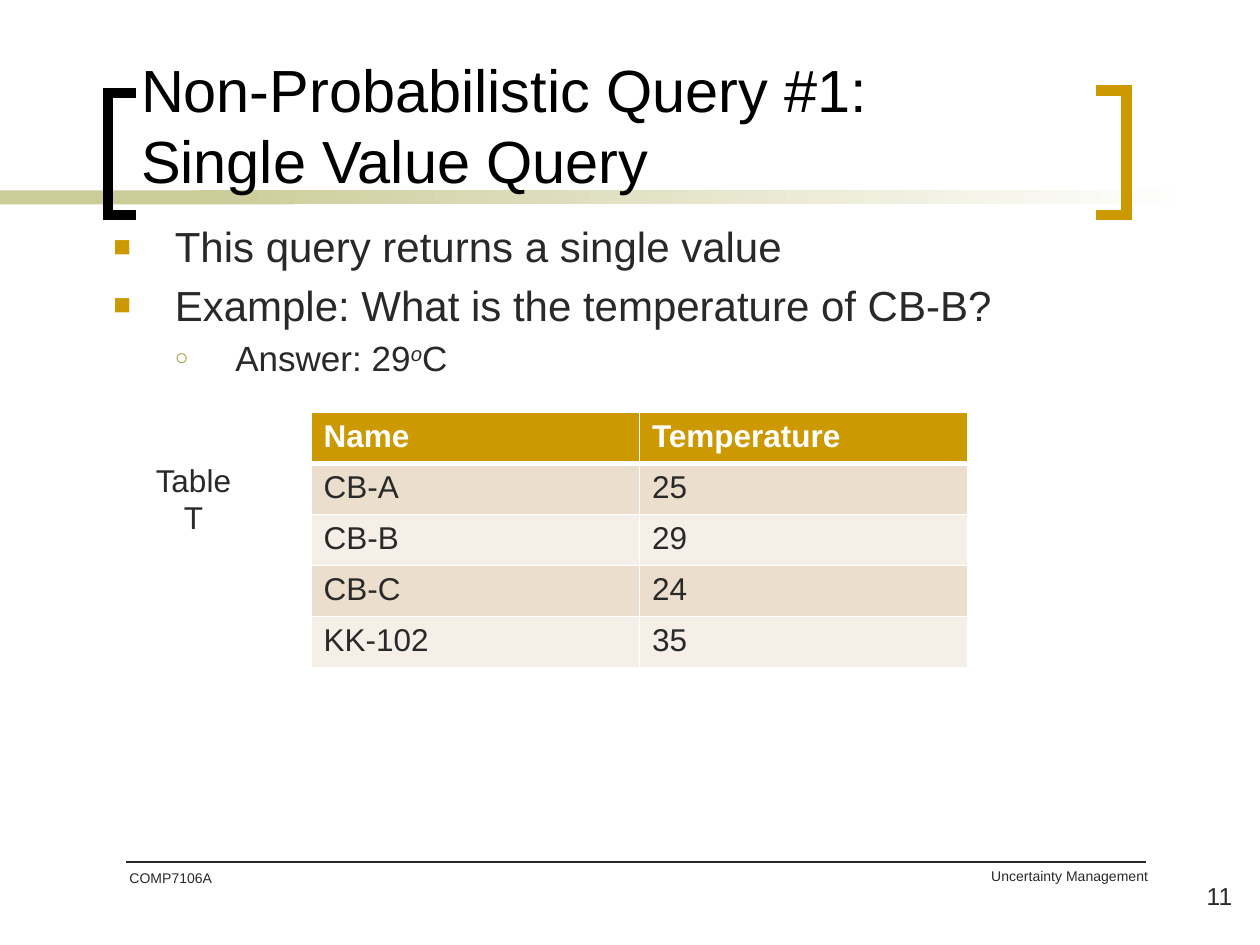
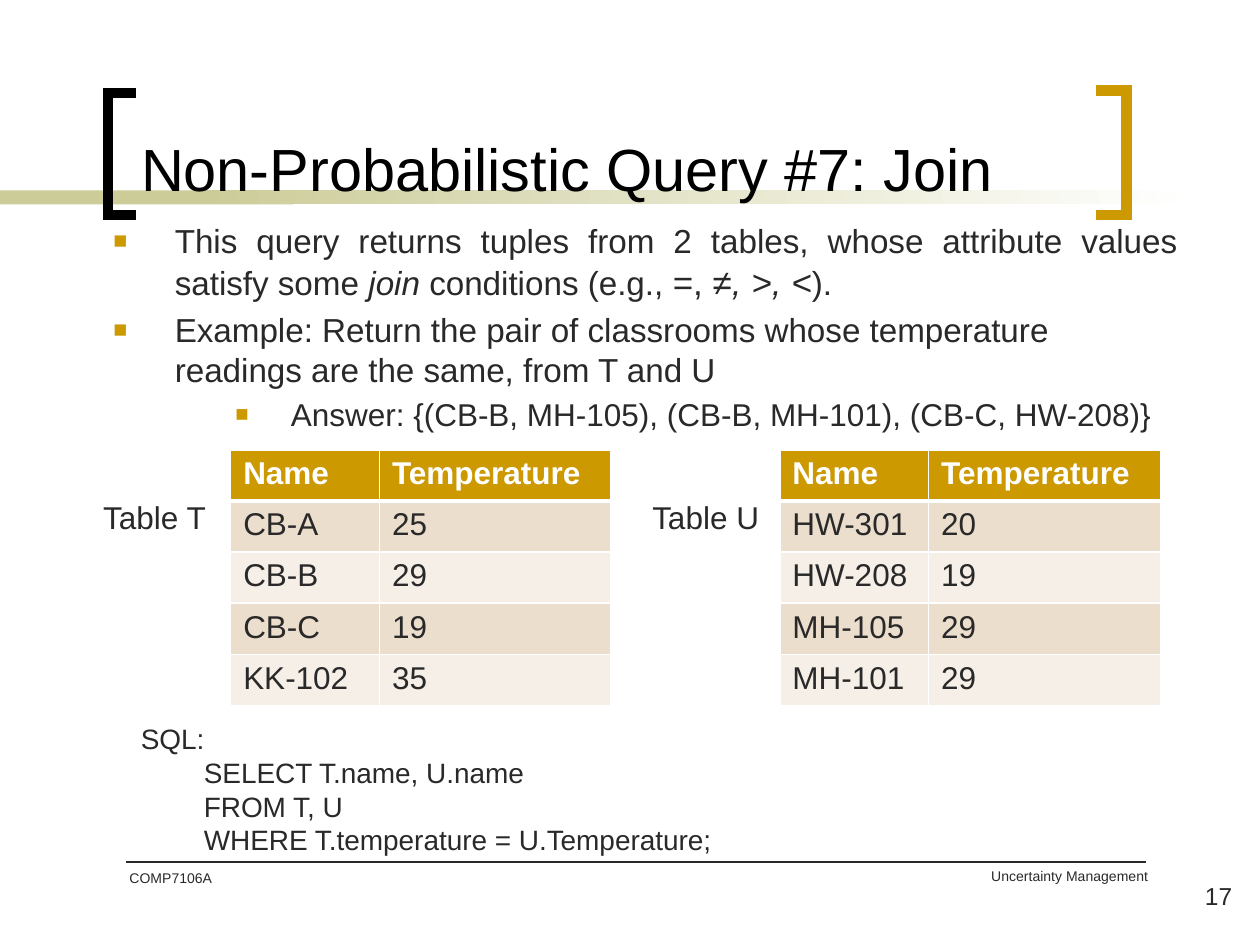
from dataclasses import dataclass

from lxml.etree import SubElement
from pptx import Presentation
from pptx.dml.color import RGBColor
from pptx.enum.shapes import MSO_CONNECTOR as Connector, MSO_SHAPE as Shape
from pptx.enum.text import MSO_ANCHOR as Anchor, MSO_AUTO_SIZE as AutoSize, PP_ALIGN as Align
from pptx.oxml import parse_xml
from pptx.oxml.ns import nsdecls, qn
from pptx.util import Cm, Pt


@dataclass(frozen=True)
class Theme:
    font: str = "Arial"
    ink: str = "292929"
    black: str = "000000"
    white: str = "FFFFFF"
    gold: str = "CC9900"
    olive: str = "999933"
    band: str = "CCCC99"
    row_dark: str = "ECDECC"
    row_light: str = "F6EFE7"
    title_size: int = 34
    table_size: int = 18
    code_size: int = 16
    number_size: int = 14
    footer_size: int = 8


THEME = Theme()


@dataclass(frozen=True)
class Box:
    """A rectangle in centimetres."""
    left: float
    top: float
    width: float
    height: float

    def emu(self):
        return Cm(self.left), Cm(self.top), Cm(self.width), Cm(self.height)


@dataclass(frozen=True)
class Level:
    """Indents in centimetres and an optional bullet."""
    margin: float
    hanging: float = 0
    bullet: str = ""
    color: str = THEME.gold
    percent: int = 70


POINT = Level(1.24, 1.24, "■")
SUBPOINT = Level(2.46, 1.22, "○", THEME.olive, 65)
DEEP_POINT = Level(3.58, 1.12, "■")
CODE = Level(1.27)

FOOTER_RULE_TOP = 17.37
ROW_HEIGHT = 1.03


def rgb(color):
    return RGBColor.from_string(color)


def set_level(paragraph, level):
    properties = paragraph._p.get_or_add_pPr()
    properties.set("marL", str(Cm(level.margin)))
    properties.set("indent", str(-Cm(level.hanging)))
    if level.bullet:
        color = SubElement(properties, qn("a:buClr"))
        SubElement(color, qn("a:srgbClr"), val=level.color)
        SubElement(properties, qn("a:buSzPct"), val=str(level.percent * 1000))
        SubElement(properties, qn("a:buFont"), typeface=THEME.font)
        SubElement(properties, qn("a:buChar"), char=level.bullet)


def add_run(paragraph, text, size, color, bold=False, italic=False, raised=False):
    run = paragraph.add_run()
    run.text = text
    font = run.font
    font.name, font.size, font.bold, font.italic = THEME.font, Pt(size), bold, italic
    font.color.rgb = rgb(color)
    if raised:
        run._r.get_or_add_rPr().set("baseline", "30000")


def write(paragraph, text, size, color=THEME.ink, bold=False, align=Align.LEFT,
          level=None, before=0):
    """Write a string, or a list of strings and (string, run format) pairs."""
    if level:
        set_level(paragraph, level)
    paragraph.alignment = align
    paragraph.space_before = Pt(before)
    for piece in [text] if isinstance(text, str) else text:
        content, changes = (piece, {}) if isinstance(piece, str) else piece
        run_format = {"size": size, "color": color, "bold": bold} | changes
        for index, line in enumerate(content.split("\n")):
            if index:
                paragraph.add_line_break()
            add_run(paragraph, line, **run_format)


def paragraphs_of(frame, count):
    return [frame.paragraphs[0]] + [frame.add_paragraph() for _ in range(count - 1)]


def add_text_box(slide, box, lines, wrap=True, **text_format):
    frame = slide.shapes.add_textbox(*box.emu()).text_frame
    frame.word_wrap = wrap
    for paragraph, line in zip(paragraphs_of(frame, len(lines)), lines):
        write(paragraph, line, **text_format)
    return frame


def add_band(slide, box):
    band = slide.shapes.add_shape(Shape.RECTANGLE, *box.emu())
    band.shadow.inherit = False
    band.line.fill.background()
    return band.fill


def add_bracket(slide, spine, tip, top, bottom, color):
    """Draw a square bracket from its spine to its tips."""
    points = [(tip, bottom), (spine, bottom), (spine, top), (tip, top)]
    start, *rest = [(Cm(x), Cm(y)) for x, y in points]
    builder = slide.shapes.build_freeform(*start)
    builder.add_line_segments(rest, close=False)
    bracket = builder.convert_to_shape()
    bracket.shadow.inherit = False
    bracket.fill.background()
    bracket.line.width = Pt(6)
    bracket.line.color.rgb = rgb(color)
    SubElement(bracket.line._get_or_add_ln(), qn("a:miter"), lim="800000")


def add_title_frame(slide):
    solid = add_band(slide, Box(0, 3.84, 5.92, 0.28))
    solid.solid()
    solid.fore_color.rgb = rgb(THEME.band)
    fading = add_band(slide, Box(4.01, 3.84, 20.12, 0.28))
    fading.gradient()
    fading.gradient_angle = 0
    for stop, color in zip(fading.gradient_stops, (THEME.band, THEME.white)):
        stop.color.rgb = rgb(color)
    add_bracket(slide, 2.18, 2.74, 1.88, 4.34, THEME.black)
    add_bracket(slide, 22.71, 22.1, 1.83, 4.34, THEME.gold)


def add_footer(slide, number):
    rule = slide.shapes.add_connector(Connector.STRAIGHT, Cm(2.54), Cm(FOOTER_RULE_TOP),
                                      Cm(23.11), Cm(FOOTER_RULE_TOP))
    rule.line.width = Pt(1)
    rule.line.color.rgb = rgb(THEME.ink)
    SubElement(rule._element.spPr, qn("a:effectLst"))
    add_text_box(slide, Box(12.88, FOOTER_RULE_TOP, 10.52, 1.27),
                 ["Uncertainty Management"], size=THEME.footer_size, align=Align.RIGHT)
    add_text_box(slide, Box(2.36, 17.4, 2.97, 1.27), ["COMP7106A"], size=THEME.footer_size)
    add_text_box(slide, Box(23.19, 17.63, 1.9, 1.27), [str(number)],
                 size=THEME.number_size, align=Align.RIGHT)


def place_placeholder(slide, placeholder, box, anchor):
    """Move a placeholder to its box, in front of what is drawn so far."""
    slide.shapes._spTree.append(placeholder._element)
    placeholder.left, placeholder.top, placeholder.width, placeholder.height = box.emu()
    frame = placeholder.text_frame
    frame.auto_size = AutoSize.NONE
    frame.word_wrap = True
    frame.vertical_anchor = anchor
    return frame


def add_query_slide(presentation, number, title, title_top, body_box, points):
    slide = presentation.slides.add_slide(presentation.slide_layouts[1])
    body = slide.placeholders[1]
    add_title_frame(slide)
    add_footer(slide, number)
    title_frame = place_placeholder(slide, slide.shapes.title,
                                    Box(2.59, title_top, 19.89, 3.94), Anchor.BOTTOM)
    write(title_frame.paragraphs[0], title, size=THEME.title_size, color=THEME.black)
    body_frame = place_placeholder(slide, body, body_box, Anchor.TOP)
    for index, paragraph in enumerate(paragraphs_of(body_frame, len(points))):
        point = points[index]
        write(paragraph, **point, before=0.2 * point["size"] if index else 0)
    return slide


def set_borders(cell, bottom_width=1, top_width=1):
    widths = {"L": 1, "R": 1, "T": top_width, "B": bottom_width}
    for index, (side, width) in enumerate(widths.items()):
        line = parse_xml(
            f'<a:ln{side} {nsdecls("a")} w="{Pt(width)}"><a:solidFill>'
            f'<a:srgbClr val="{THEME.white}"/></a:solidFill></a:ln{side}>')
        cell._tc.get_or_add_tcPr().insert(index, line)


def add_reading_table(slide, left, top, widths, readings, caption, caption_width, gap,
                      caption_align=Align.LEFT):
    """Add a table of room temperatures with its caption to the left."""
    rows = [("Name", "Temperature"), *readings]
    box = Box(left, top, sum(widths), ROW_HEIGHT * len(rows))
    table = slide.shapes.add_table(len(rows), len(widths), *box.emu()).table
    for column, width in zip(table.columns, widths):
        column.width = Cm(width)
    for row_index, values in enumerate(rows):
        table.rows[row_index].height = Cm(ROW_HEIGHT)
        header = row_index == 0
        stripe = THEME.row_dark if row_index % 2 else THEME.row_light
        for column_index, value in enumerate(values):
            cell = table.cell(row_index, column_index)
            cell.fill.solid()
            cell.fill.fore_color.rgb = rgb(THEME.gold if header else stripe)
            set_borders(cell, 3 if header else 1, 3 if row_index == 1 else 1)
            write(cell.text_frame.paragraphs[0], value, size=THEME.table_size, bold=header,
                  color=THEME.white if header else THEME.ink)
    caption_box = Box(left - gap - caption_width, top + 0.85, caption_width,
                      0.25 + 0.77 * len(caption))
    add_text_box(slide, caption_box, caption, wrap=len(caption) == 1,
                 size=THEME.table_size, align=caption_align)


def add_sql(slide, box, clauses):
    frame = add_text_box(slide, box, ["SQL:"], size=THEME.code_size)
    for clause in clauses:
        write(frame.add_paragraph(), clause, size=THEME.code_size, level=CODE)


def add_single_value_slide(presentation):
    slide = add_query_slide(
        presentation, 11, "Non-Probabilistic Query #1: \nSingle Value Query", 0.13,
        Box(2.03, 4.32, 20.37, 3.61),
        [dict(text="This query returns a single value", size=24, level=POINT),
         dict(text="Example: What is the temperature of CB-B?", size=24, level=POINT),
         dict(text=["Answer: 29", ("o", {"italic": True, "raised": True}), "C"],
              size=20, level=SUBPOINT)])
    add_reading_table(
        slide, 6.27, 8.31, (6.62, 6.62),
        [("CB-A", "25"), ("CB-B", "29"), ("CB-C", "24"), ("KK-102", "35")],
        ["Table", "T"], caption_width=2.06, gap=1.34, caption_align=Align.CENTER)


def add_join_slide(presentation):
    italic = {"italic": True}
    slide = add_query_slide(
        presentation, 17, "Non-Probabilistic Query #7: Join", 0.28,
        Box(2.03, 4.32, 21.97, 5.56),
        [dict(text=["This query returns tuples from 2 tables, whose attribute values "
                    "satisfy some ", ("join ", italic), "conditions (e.g., ",
                    ("=, ", {"size": 20}), ("≠, >, <", italic | {"size": 20}), ")."],
              size=19, level=POINT, align=Align.JUSTIFY),
         dict(text="Example: Return the pair of classrooms whose temperature readings "
                   "are the same, from T and U", size=19, level=POINT),
         dict(text="Answer: {(CB-B, MH-105), (CB-B, MH-101), (CB-C, HW-208)}",
              size=18, level=DEEP_POINT)])
    tables = {
        "Table T": (4.65, [("CB-A", "25"), ("CB-B", "29"), ("CB-C", "19"), ("KK-102", "35")]),
        "Table U": (15.72, [("HW-301", "20"), ("HW-208", "19"), ("MH-105", "29"),
                            ("MH-101", "29")]),
    }
    for caption, (left, readings) in tables.items():
        add_reading_table(slide, left, 9.07, (3, 4.67), readings, [caption],
                          caption_width=2.74, gap=0.08)
    add_sql(slide, Box(2.59, 14.43, 19.48, 3),
            ["SELECT T.name, U.name", "FROM T, U", "WHERE T.temperature = U.Temperature;"])


def main():
    presentation = Presentation()
    presentation.slide_width, presentation.slide_height = Cm(25.4), Cm(19.05)
    add_single_value_slide(presentation)
    add_join_slide(presentation)
    presentation.save("out.pptx")


if __name__ == "__main__":
    main()
